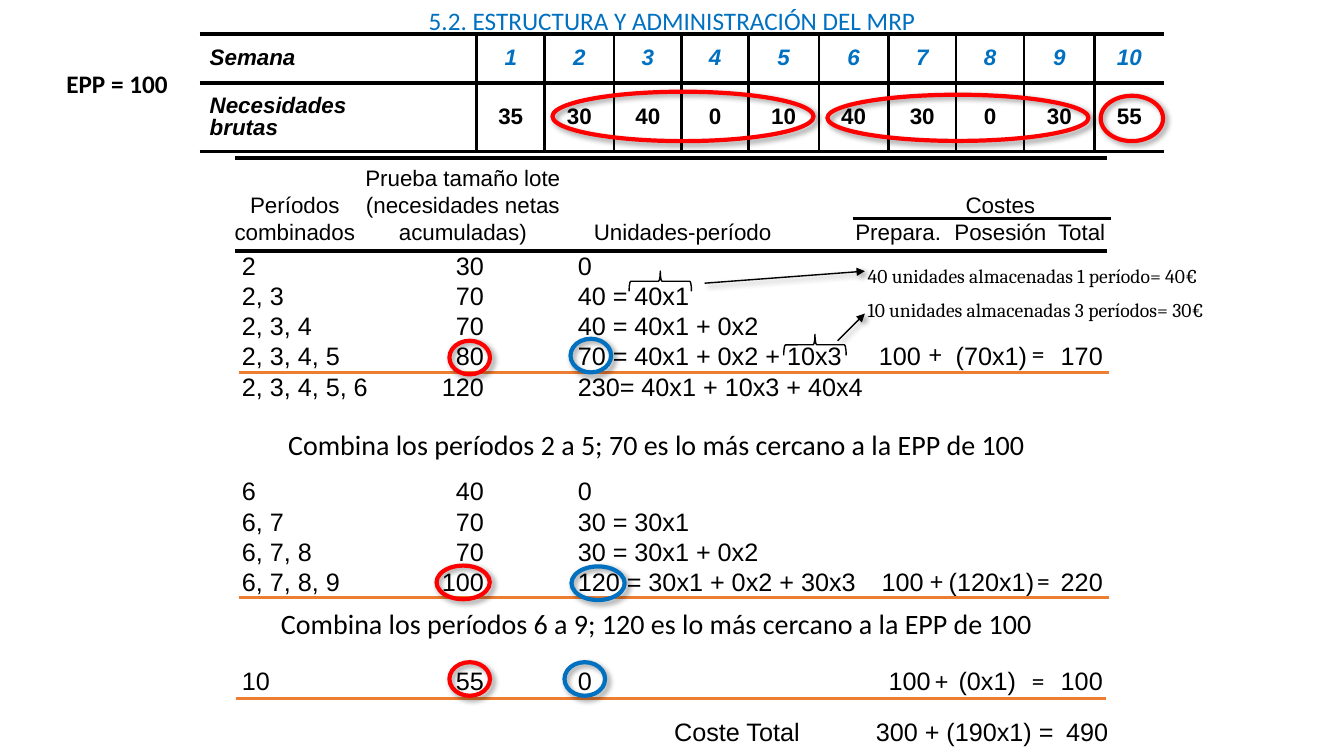
from lxml import etree
from pptx import Presentation
from pptx.dml.color import RGBColor
from pptx.enum import shapes, text
from pptx.oxml import ns
from pptx.util import Pt

BLACK = RGBColor(0, 0, 0)
BLUE = RGBColor(0x00, 0x70, 0xC0)
RED = RGBColor(0xFF, 0, 0)
ORANGE = RGBColor(0xED, 0x7D, 0x31)
LEFT, CENTER, RIGHT = text.PP_ALIGN.LEFT, text.PP_ALIGN.CENTER, "r"

HEADER_TABS = [(53, "ctr"), (173, "ctr"), (330, "ctr"), (484, "ctr"), (557, "ctr"), (615, "ctr")]


def lot_tabs(setup, holding):
    """Stops for lot size, unit-periods, set-up, holding and total."""
    return [(173, RIGHT), (240, "l"), (setup, "ctr"), (holding, "ctr"), (615, RIGHT)]


def child(parent, tag, **attrs):
    el = etree.SubElement(parent, ns.qn(tag))
    for name, value in attrs.items():
        el.set(name, str(value))
    return el


def add_effects(sp, shadow):
    spPr = sp._element.spPr
    for old in spPr.findall(ns.qn("a:effectLst")):
        spPr.remove(old)
    effects = child(spPr, "a:effectLst")
    if shadow:
        outer = child(effects, "a:outerShdw", blurRad=Pt(4), dist=Pt(3),
                      dir=45 * 60000, algn="tl", rotWithShape=0)
        child(child(outer, "a:srgbClr", val="000000"), "a:alpha", val=40000)


def add_text(s, lines, x, y, w, h, size=18, font="Calibri", color=BLACK,
             bold=False, align=LEFT, spacing=None, tabs=()):
    tf = s.shapes.add_textbox(Pt(x), Pt(y), Pt(w), Pt(h)).text_frame
    tf.word_wrap = True
    tf.text = "\n".join(lines)
    for p in tf.paragraphs:
        p.alignment = align
        if spacing:
            p.line_spacing = spacing
        if tabs:
            tab_list = child(p._p.get_or_add_pPr(), "a:tabLst")
            for pos, kind in tabs:
                child(tab_list, "a:tab", pos=Pt(pos), algn=kind)
        for r in p.runs:
            set_font(r.font, size, font, color, bold)


def set_font(f, size, name, color, bold, italic=False):
    f.size, f.name, f.bold, f.italic = Pt(size), name, bold, italic
    f.color.rgb = color


def add_line(s, x1, y1, x2, y2, color=BLACK, width=2.25, arrow=False):
    line = s.shapes.add_connector(shapes.MSO_CONNECTOR.STRAIGHT, Pt(x1), Pt(y1), Pt(x2), Pt(y2))
    line.line.color.rgb = color
    line.line.width = Pt(width)
    if arrow:
        child(line.line._get_or_add_ln(), "a:tailEnd", type="triangle")
    add_effects(line, arrow)


def add_outline(s, kind, x, y, w, h, color, width, rotation=0, shadow=False):
    sp = s.shapes.add_shape(kind, Pt(x), Pt(y), Pt(w), Pt(h))
    sp.fill.background()
    sp.line.color.rgb = color
    sp.line.width = Pt(width)
    sp.rotation = rotation
    add_effects(sp, shadow)


def add_ring(s, x, y, w, h, color):
    add_outline(s, shapes.MSO_SHAPE.OVAL, x, y, w, h, color, 3, shadow=True)


def add_brace(s, x, y, w, h):
    add_outline(s, shapes.MSO_SHAPE.LEFT_BRACE, x, y, w, h, BLACK, 1, rotation=90)


def set_borders(cell, widths):
    tcPr = cell._tc.get_or_add_tcPr()
    for i, side in enumerate("LRTB"):
        width = widths.get(side, 0)
        ln = etree.Element(ns.qn(f"a:ln{side}"), w=str(Pt(width)))
        if width:
            child(child(ln, "a:solidFill"), "a:srgbClr", val="000000")
        else:
            child(ln, "a:noFill")
        tcPr.insert(i, ln)


def add_needs_table(s):
    rows = [["Semana", "", *range(1, 11)],
            ["Necesidades brutas", "", 35, 30, 40, 0, 10, 40, 30, 0, 30, 55]]
    widths = [152, 46, 48.5, 49.5, 48.5, 47.5, 50.5, 49.5, 48.5, 48.5, 50.5, 49.5]
    table = s.shapes.add_table(2, 12, Pt(142.6), Pt(24.5), Pt(sum(widths)), Pt(84)).table
    table.first_row = table.horz_banding = False
    for col, width in zip(table.columns, widths):
        col.width = Pt(width)
    for row, height in zip(table.rows, (35, 49)):
        row.height = Pt(height)
    for i, values in enumerate(rows):
        for j, value in enumerate(values):
            cell = table.cell(i, j)
            cell.fill.background()
            cell.vertical_anchor = text.MSO_ANCHOR.MIDDLE
            set_borders(cell, {"T": 3, "B": 2.25 if i else 3,
                               "L": 2.25 if j > 1 else 0,
                               "R": 2.25 if 0 < j < 11 else 0})
            p = cell.text_frame.paragraphs[0]
            p.text = str(value)
            p.line_spacing = 0.9
            p.alignment = CENTER if j else LEFT
            week = i == 0 and j > 0
            for r in p.runs:
                set_font(r.font, 16, "Arial", BLUE if week else BLACK, True, week or j == 0)


def add_lot_rows(s, lines, y, setup, holding, plus_x, equal_x, sign_y):
    """Lot trials, with the signs of the cost sum in the last row."""
    add_text(s, lines, 165.6, y, 636, 22 * len(lines) + 7, font="Arial",
             tabs=lot_tabs(setup, holding))
    for sign, x in (("+", plus_x), ("=", equal_x)):
        add_text(s, [sign], x, sign_y, 24, 29)


def main():
    prs = Presentation()
    prs.slide_width, prs.slide_height = Pt(960), Pt(540)
    s = prs.slides.add_slide(prs.slide_layouts[6])

    # Title and weekly needs
    add_text(s, ["5.2. ESTRUCTURA Y ADMINISTRACIÓN DEL MRP"], 0, 0, 960, 29,
             color=BLUE, align=CENTER)
    add_text(s, ["EPP = 100"], 40.3, 45.4, 91.5, 29, bold=True)
    add_needs_table(s)

    # Column headings
    add_text(s, ["\t\tPrueba tamaño lote",
                 "\tPeríodos\t(necesidades netas\t\t\tCostes",
                 "\tcombinados\tacumuladas)\tUnidades-período\tPrepara.\tPosesión\tTotal"],
             150.5, 113.8, 660, 65.5, size=16, font="Arial", tabs=HEADER_TABS)
    for y in (113, 179.3):
        add_line(s, 167.8, y, 790.6, y, width=3)
    add_line(s, 609, 156.2, 793.4, 156.2)

    # Lot trials
    add_lot_rows(s, ["2\t30\t0",
                     "2, 3\t70\t40 = 40x1",
                     "2, 3, 4\t70\t40 = 40x1 + 0x2",
                     "2, 3, 4, 5\t80\t70 = 40x1 + 0x2 + 10x3\t100\t(70x1)\t170",
                     "2, 3, 4, 5, 6\t120\t230= 40x1 + 10x3 + 40x4"],
                 175, 470, 535.5, 656.6, 730, 238.3)
    add_lot_rows(s, ["6\t40\t0",
                     "6, 7\t70\t30 = 30x1",
                     "6, 7, 8\t70\t30 = 30x1 + 0x2",
                     "6, 7, 8, 9\t100\t120 = 30x1 + 0x2 + 30x3\t100\t(120x1)\t220"],
                 336.2, 472, 535.5, 657.4, 733.7, 400.3)
    add_lot_rows(s, ["10\t55\t0\t100\t(0x1)\t100"],
                 471.6, 477, 532.5, 661, 730, 472)
    for x, y in ((170.6, 266.4), (170.6, 427), (168.5, 499)):
        add_line(s, x, y, x + 621.4, y, ORANGE)

    # Conclusions and total
    for line, y in (("Combina los períodos 2 a 5; 70 es lo más cercano a la EPP de 100", 304.6),
                    ("Combina los períodos 6 a 9; 120 es lo más cercano a la EPP de 100", 432.7)):
        add_text(s, [line], 190, y, 558, 29, size=20, align=CENTER, spacing=0.9)
    add_text(s, ["Coste Total\t300 + (190x1) =\t490"], 474.5, 508.3, 340, 29,
             font="Arial", tabs=[(144, "l"), (310, RIGHT)])

    # Holding notes
    add_brace(s, 464.4, 178.6, 14.4, 44.6)
    add_brace(s, 574.6, 224, 15, 44.6)
    add_text(s, ["40 unidades almacenadas 1 período= 40€"], 612.7, 185, 276, 41,
             size=14, font="Cambria")
    add_text(s, ["10 unidades almacenadas 3 períodos= 30€"], 612.7, 209.5, 287, 41,
             size=14, font="Cambria")
    add_line(s, 503.3, 202.3, 617.8, 193.7, width=1, arrow=True)
    add_line(s, 598.3, 243.4, 617.8, 224, width=1, arrow=True)

    # Rings around chosen values
    for x, y, w, h in ((321, 243.4, 29, 24), (321, 473, 29, 24), (311.8, 404, 38, 24),
                       (394.6, 65.5, 186.5, 35.3), (591, 67.7, 186.5, 33),
                       (786.2, 68.4, 44.6, 32.4)):
        add_ring(s, x, y, w, h, RED)
    for x, y, w in ((407.5, 242, 29), (408.2, 404.6, 38), (403.2, 473, 29)):
        add_ring(s, x, y, w, 24, BLUE)

    prs.save("out.pptx")


if __name__ == "__main__":
    main()
